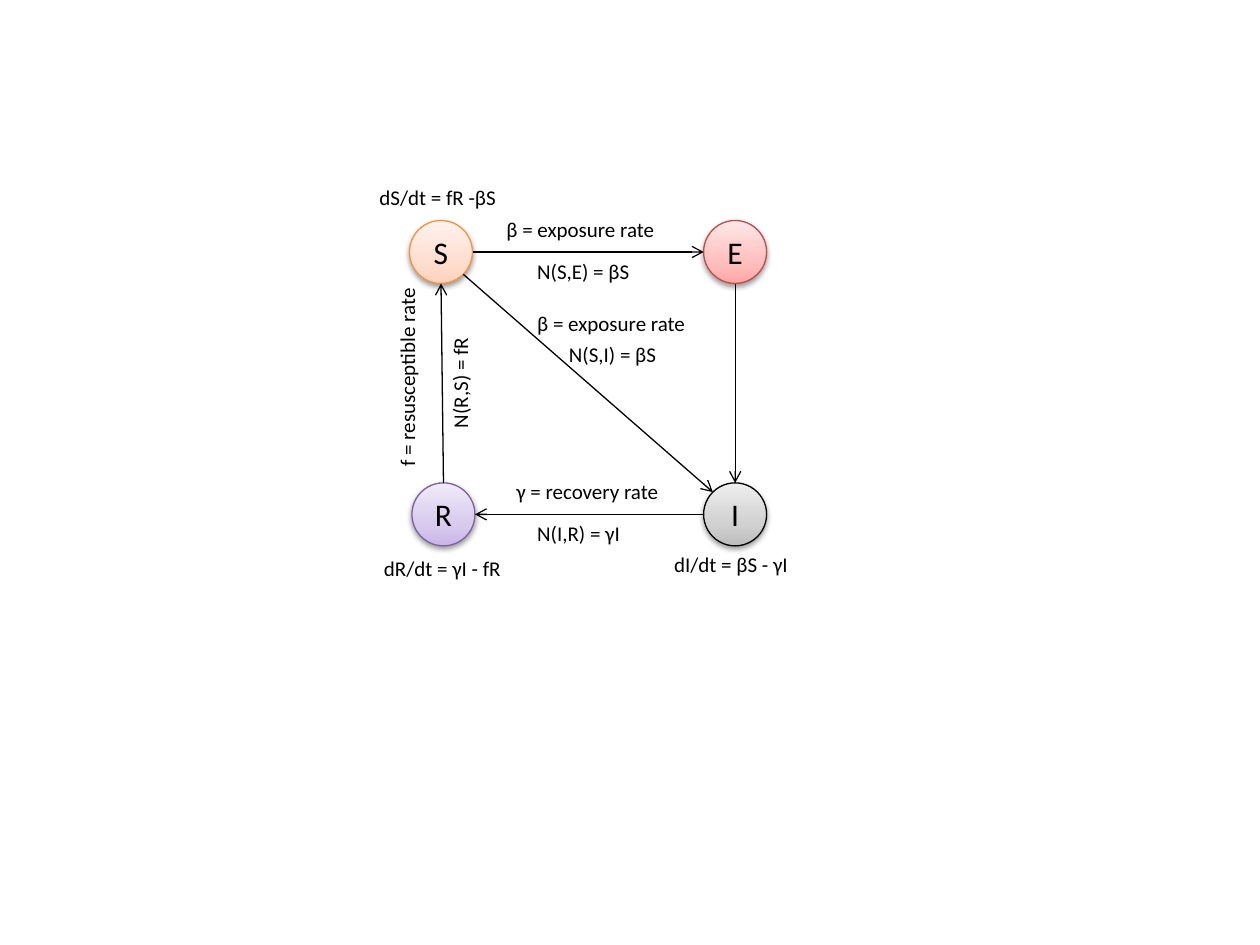
from math import cos, radians, sin

from lxml.etree import SubElement
from pptx import Presentation
from pptx.dml.color import RGBColor
from pptx.enum.shapes import MSO_CONNECTOR as Connector, MSO_SHAPE as Shape
from pptx.enum.text import MSO_ANCHOR as Anchor, MSO_AUTO_SIZE as AutoSize, PP_ALIGN as Align
from pptx.oxml import parse_xml
from pptx.oxml.ns import nsdecls, qn
from pptx.util import Cm, Pt

BLACK = RGBColor(0x00, 0x00, 0x00)
ORANGE = RGBColor(0xF6, 0x92, 0x40)
RED = RGBColor(0xBF, 0x4C, 0x48)
PURPLE = RGBColor(0x7D, 0x60, 0xA0)
PEACH_STOPS = RGBColor(0xFF, 0xD2, 0xBD), RGBColor(0xFF, 0xDE, 0xD0), RGBColor(0xFF, 0xF2, 0xED)
RED_STOPS = RGBColor(0xFF, 0xA6, 0xA5), RGBColor(0xFF, 0xC0, 0xBF), RGBColor(0xFF, 0xE7, 0xE7)
PURPLE_STOPS = RGBColor(0xC9, 0xB5, 0xE8), RGBColor(0xD8, 0xCB, 0xEE), RGBColor(0xF0, 0xEA, 0xF9)
GRAY_STOPS = RGBColor(0xBD, 0xBD, 0xBD), RGBColor(0xD1, 0xD1, 0xD1), RGBColor(0xEE, 0xEE, 0xEE)

RADIUS = 0.635
LABEL_HEIGHT = 0.77
LABEL_THICKNESS = 1.02

STATES = {
    "S": (1.49, 1.48, ORANGE, PEACH_STOPS),
    "R": (1.54, 6.77, PURPLE, PURPLE_STOPS),
    "I": (7.42, 6.77, BLACK, GRAY_STOPS),
    "E": (7.42, 1.48, RED, RED_STOPS),
}
TRANSITIONS = [
    ("S", 45, "I", 225),
    ("R", 270, "S", 90),
    ("I", 180, "R", 0),
    ("S", 0, "E", 180),
    ("E", 90, "I", 270),
]
LABELS = [
    ("dS/dt = fR -βS", 0, 0, 2.97),
    ("dI/dt = βS - γI", 5.94, 7.4, 2.92),
    ("dR/dt = γI - fR", 0.09, 7.47, 2.9),
    ("β = exposure rate", 2.56, 0.64, 3.56),
    ("γ = recovery rate", 2.76, 5.93, 3.4),
    ("N(S,E) = βS", 3.18, 1.48, 2.39),
    ("N(I,R) = γI", 3.18, 6.77, 2.21),
    ("β = exposure rate", 3.18, 2.54, 3.56),
    ("N(S,I) = βS", 3.82, 3.17, 2.29),
]
VERTICAL_LABELS = [
    ("f = resusceptible rate", 0.42, 2.12, 3.94),
    ("N(R,S) = fR", 1.49, 3.17, 2.11),
]


def add_run(paragraph, text, size):
    run = paragraph.add_run()
    run.text = text
    run.font.name = "Calibri"
    run.font.size = Pt(size)
    run.font.color.rgb = BLACK


def add_state(slide, name, x, y, line_color, stops):
    shape = slide.shapes.add_shape(
        Shape.OVAL, Cm(x - RADIUS), Cm(y - RADIUS), Cm(2 * RADIUS), Cm(2 * RADIUS))
    shape.line.color.rgb = line_color
    shape.line.width = Pt(0.75)
    stop_xml = "".join(
        f'<a:gs pos="{position}"><a:srgbClr val="{color}"/></a:gs>'
        for position, color in zip((0, 35000, 100000), stops))
    properties = shape._element.spPr
    properties.find(qn("a:ln")).addprevious(parse_xml(
        f'<a:gradFill {nsdecls("a")} rotWithShape="1"><a:gsLst>{stop_xml}</a:gsLst>'
        '<a:lin ang="16200000" scaled="0"/></a:gradFill>'))
    properties.append(parse_xml(
        f'<a:effectLst {nsdecls("a")}><a:outerShdw blurRad="40000" dist="20000" dir="5400000" '
        'rotWithShape="0"><a:srgbClr val="000000"><a:alpha val="38000"/></a:srgbClr>'
        '</a:outerShdw></a:effectLst>'))
    frame = shape.text_frame
    frame.vertical_anchor = Anchor.MIDDLE
    frame.paragraphs[0].alignment = Align.CENTER
    add_run(frame.paragraphs[0], name, 18)


def rim_point(left, top, name, degrees):
    x, y = STATES[name][:2]
    angle = radians(degrees)
    return Cm(left + x + RADIUS * cos(angle)), Cm(top + y + RADIUS * sin(angle))


def add_arrow(slide, start, end):
    connector = slide.shapes.add_connector(Connector.STRAIGHT, *start, *end)
    connector.line.color.rgb = BLACK
    connector.line.width = Pt(0.75)
    properties = connector._element.spPr
    SubElement(properties.find(qn("a:ln")), qn("a:tailEnd"), type="arrow")
    SubElement(properties, qn("a:effectLst"))


def add_label(slide, text, left, top, width, height, vertical=False):
    box = slide.shapes.add_textbox(Cm(left), Cm(top), Cm(width), Cm(height))
    frame = box.text_frame
    frame.word_wrap = False
    frame.auto_size = AutoSize.SHAPE_TO_FIT_TEXT
    if vertical:
        frame._txBody.bodyPr.set("vert", "vert270")
    add_run(frame.paragraphs[0], text, 12)


def add_state_diagram(slide, left, top):
    for name, (x, y, line_color, stops) in STATES.items():
        add_state(slide, name, left + x, top + y, line_color, stops)
    for source, source_angle, target, target_angle in TRANSITIONS:
        add_arrow(slide, rim_point(left, top, source, source_angle),
                  rim_point(left, top, target, target_angle))
    for text, x, y, width in LABELS:
        add_label(slide, text, left + x, top + y, width, LABEL_HEIGHT)
    for text, x, y, length in VERTICAL_LABELS:
        add_label(slide, text, left + x, top + y, LABEL_THICKNESS, length, vertical=True)


presentation = Presentation()
presentation.slide_width = Cm(25.4)
presentation.slide_height = Cm(19.05)
slide = presentation.slides.add_slide(presentation.slide_layouts[6])
add_state_diagram(slide, 7.4, 3.6)
presentation.save("out.pptx")
